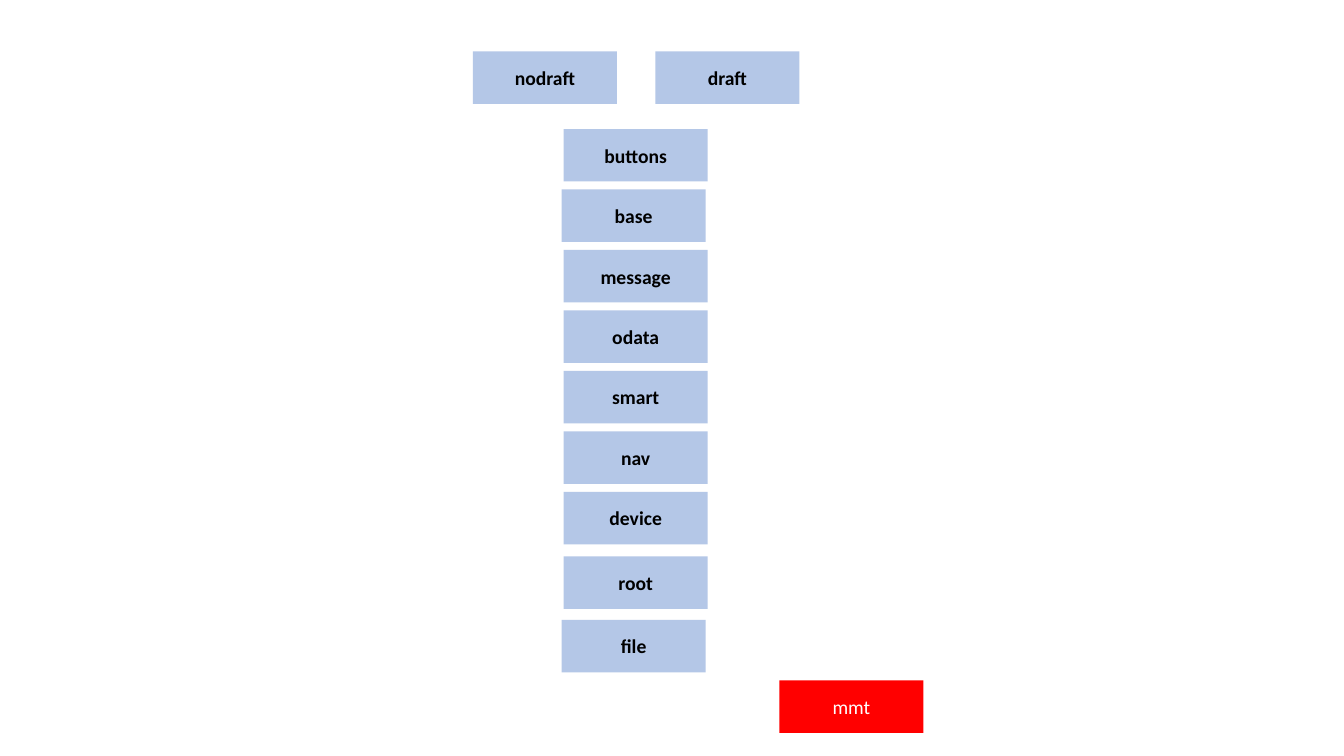
from pptx import Presentation
from pptx.dml.color import RGBColor
from pptx.enum.shapes import MSO_SHAPE
from pptx.enum.text import MSO_ANCHOR, PP_ALIGN
from pptx.util import Inches, Pt

COLORS = {"layer": "B4C7E7", "layer_text": "000000",
          "mmt": "FF0000", "mmt_text": "FFFFFF"}
BOX_WIDTH, BOX_HEIGHT = 1.43, 0.52
COLUMN_LEFT, SHIFTED_LEFT = 5.59, 5.57
COLUMN_TOP, COLUMN_STEP = 1.28, 0.6

deck = Presentation()
deck.slide_width = Inches(13.33)
deck.slide_height = Inches(7.5)
page = deck.slides.add_slide(deck.slide_layouts[6])


def add_box(label, left, top, style="layer"):
    """Add a borderless box with a centred label; layer labels are bold."""
    box = page.shapes.add_shape(MSO_SHAPE.RECTANGLE, Inches(left), Inches(top),
                                Inches(BOX_WIDTH), Inches(BOX_HEIGHT))
    box.shadow.inherit = False
    box.fill.solid()
    box.fill.fore_color.rgb = RGBColor.from_string(COLORS[style])
    box.line.fill.background()
    frame = box.text_frame
    frame.word_wrap = True
    frame.vertical_anchor = MSO_ANCHOR.MIDDLE
    para = frame.paragraphs[0]
    para.alignment = PP_ALIGN.CENTER
    span = para.add_run()
    span.text = label
    span.font.name = "Calibri"
    span.font.size = Pt(14)
    span.font.bold = style == "layer"
    span.font.color.rgb = RGBColor.from_string(COLORS[style + "_text"])


# Draft variants on top
for label, left in (("nodraft", 4.69), ("draft", 6.5)):
    add_box(label, left, 0.51)

# Evenly stacked layers, with base set slightly to the left
layers = ["buttons", "base", "message", "odata", "smart", "nav", "device"]
for row, label in enumerate(layers):
    left = SHIFTED_LEFT if label == "base" else COLUMN_LEFT
    add_box(label, left, COLUMN_TOP + row * COLUMN_STEP)

# Foundation layers, spaced a little wider
add_box("root", COLUMN_LEFT, 5.52)
add_box("file", SHIFTED_LEFT, 6.15)

add_box("mmt", 7.73, 6.75, "mmt")

deck.save("out.pptx")
